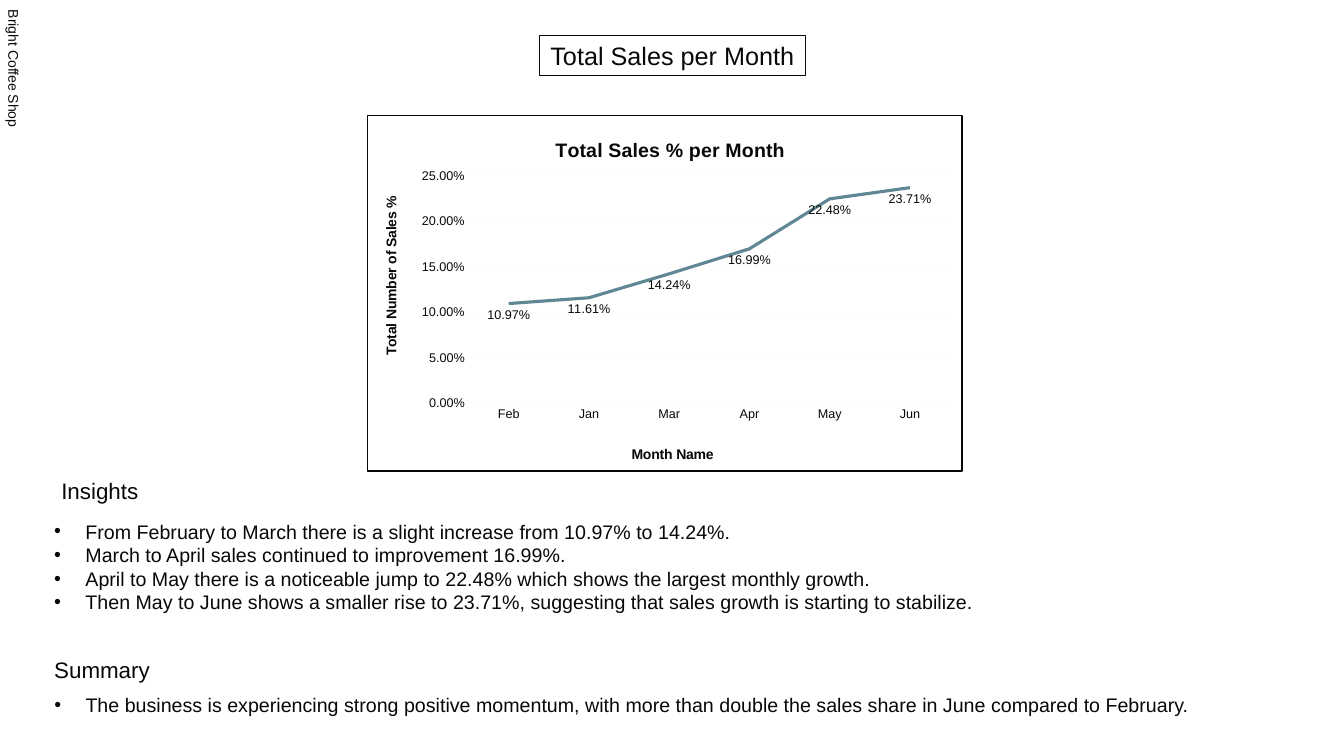
from dataclasses import dataclass

from lxml.etree import SubElement
from pptx import Presentation
from pptx.chart.data import CategoryChartData
from pptx.dml.color import RGBColor
from pptx.enum.chart import (XL_CHART_TYPE, XL_LABEL_POSITION, XL_MARKER_STYLE,
                             XL_TICK_MARK)
from pptx.enum.shapes import MSO_SHAPE
from pptx.enum.text import MSO_ANCHOR, MSO_AUTO_SIZE, PP_ALIGN
from pptx.oxml import parse_xml
from pptx.oxml.ns import nsdecls, qn
from pptx.util import Inches, Pt


@dataclass(frozen=True)
class Theme:
    font: str = "Arial"
    ink: RGBColor = RGBColor(0x08, 0x08, 0x08)
    paper: RGBColor = RGBColor(0xFF, 0xFF, 0xFF)
    sales: RGBColor = RGBColor(0x5F, 0x87, 0x94)
    grid: RGBColor = RGBColor(0xFD, 0xFC, 0xFB)
    heading: Pt = Pt(18)
    subheading: Pt = Pt(16)
    body: Pt = Pt(14)
    small: Pt = Pt(10)
    tick: Pt = Pt(9)


THEME = Theme()
WIDTH, HEIGHT = Inches(13.33), Inches(7.5)
COLUMNS, ROWS = 40, 30
MARGIN = 1.32
INDENT = Inches(0.31)

MONTHLY_SHARE = {"Feb": 0.1097, "Jan": 0.1161, "Mar": 0.1424,
                 "Apr": 0.1699, "May": 0.2248, "Jun": 0.2371}
INSIGHTS = [
    "From February to March there is a slight increase from 10.97% to 14.24%.",
    "March to April sales continued to improvement 16.99%.",
    "April to May there is a noticeable jump to 22.48% which shows the largest monthly growth.",
    "Then May to June shows a smaller rise to 23.71%, suggesting that sales growth is starting to stabilize.",
]
SUMMARY = [
    "The business is experiencing strong positive momentum, with more than double "
    "the sales share in June compared to February.",
]


def cells(column, row, columns, rows):
    """Turn a box in grid units into slide lengths."""
    across, down = WIDTH / COLUMNS, HEIGHT / ROWS
    return (round(column * across), round(row * down),
            round(columns * across), round(rows * down))


def style_font(font, size, bold=False):
    font.name, font.size, font.bold = THEME.font, size, bold
    font.color.rgb = THEME.ink


def fill_text(frame, lines, size, align=PP_ALIGN.LEFT, bulleted=False, wrap=True):
    frame.word_wrap = wrap
    frame.auto_size = MSO_AUTO_SIZE.SHAPE_TO_FIT_TEXT
    frame.text = "\n".join(lines)
    for paragraph in frame.paragraphs:
        paragraph.alignment = align
        if bulleted:
            properties = paragraph._p.get_or_add_pPr()
            properties.set("marL", str(INDENT))
            properties.set("indent", str(-INDENT))
            SubElement(properties, qn("a:buFont")).set("typeface", THEME.font)
            SubElement(properties, qn("a:buChar")).set("char", "•")
        for run in paragraph.runs:
            style_font(run.font, size)


def add_heading(slide, box, wording):
    heading = slide.shapes.add_shape(MSO_SHAPE.RECTANGLE, *box)
    heading.shadow.inherit = False
    heading.fill.background()
    heading.line.color.rgb = THEME.ink
    heading.line.width = Pt(1)
    heading.text_frame.vertical_anchor = MSO_ANCHOR.TOP
    fill_text(heading.text_frame, [wording], THEME.heading, PP_ALIGN.CENTER, wrap=False)


def add_side_label(slide, box, wording):
    label = slide.shapes.add_textbox(*box)
    label.rotation = 90
    fill_text(label.text_frame, [wording], THEME.small)


def add_subheading(slide, box, wording, align=PP_ALIGN.LEFT):
    subheading = slide.shapes.add_textbox(*box)
    fill_text(subheading.text_frame, [wording], THEME.subheading, align)


def add_bullets(slide, box, points, anchor=MSO_ANCHOR.TOP):
    bullets = slide.shapes.add_textbox(*box)
    bullets.text_frame.vertical_anchor = anchor
    fill_text(bullets.text_frame, points, THEME.body, bulleted=True)


def pin(element, inner=False, **shares):
    """Fix a chart part at the given shares of the chart's size."""
    for automatic in element.findall(qn("c:layout")):
        element.remove(automatic)
    target = '<c:layoutTarget val="inner"/>' if inner else ""
    modes = "".join(f'<c:{key}Mode val="edge"/>' for key in "xy")
    values = "".join(f'<c:{key} val="{share}"/>' for key, share in shares.items())
    layout = parse_xml(f'<c:layout {nsdecls("c")}><c:manualLayout>{target}{modes}{values}'
                       '</c:manualLayout></c:layout>')
    element.insert(0 if inner else 1, layout)


def set_title(title, wording, size, x, y):
    title.text_frame.text = wording
    style_font(title.text_frame.paragraphs[0].runs[0].font, size, bold=True)
    pin(title._element, x=x, y=y)


def style_axis(axis):
    axis.major_tick_mark = axis.minor_tick_mark = XL_TICK_MARK.NONE
    style_font(axis.tick_labels.font, THEME.tick)


def add_sales_chart(slide, box):
    sales = CategoryChartData(number_format="0.00%")
    sales.categories = list(MONTHLY_SHARE)
    sales.add_series("Series 1", list(MONTHLY_SHARE.values()))
    chart = slide.shapes.add_chart(XL_CHART_TYPE.LINE_STACKED, *box, sales).chart
    chart.has_legend = False
    style_font(chart.font, THEME.small)
    set_title(chart.chart_title, "Total Sales % per Month", THEME.body, 0.31, 0.05)

    months, shares = chart.category_axis, chart.value_axis
    style_axis(months)
    style_axis(shares)
    set_title(months.axis_title, "Month Name", THEME.small, 0.44, 0.92)
    set_title(shares.axis_title, "Total Number of Sales %", THEME.small, 0.02, 0.22)
    shares.minimum_scale, shares.maximum_scale, shares.major_unit = 0, 0.25, 0.05
    shares.tick_labels.number_format = "0.00%"
    shares.tick_labels.number_format_is_linked = False
    shares.format.line.fill.background()
    for line in (months.format.line, shares.major_gridlines.format.line):
        line.color.rgb = THEME.grid
        line.width = Pt(0.75)

    plot = chart.plots[0]
    plot.vary_by_categories = False
    trend = plot.series[0]
    trend.smooth = False
    trend.marker.style = XL_MARKER_STYLE.NONE
    trend.format.line.color.rgb = THEME.sales
    trend.format.line.width = Pt(2.25)
    labels = trend.data_labels
    labels.show_value = True
    labels.position = XL_LABEL_POSITION.BELOW
    labels.number_format, labels.number_format_is_linked = "0.00%", False
    style_font(labels.font, THEME.tick)

    space = chart._chartSpace
    pin(space.chart.plotArea, inner=True, x=0.17, y=0.17, w=0.81, h=0.64)
    space.find(qn("c:txPr")).addprevious(parse_xml(
        f'<c:spPr {nsdecls("c", "a")}><a:noFill/><a:ln w="{Pt(1)}"><a:solidFill>'
        f'<a:srgbClr val="{THEME.ink}"/></a:solidFill></a:ln></c:spPr>'))


def build_sales_slide(deck):
    slide = deck.slides.add_slide(deck.slide_layouts[6])
    slide.background.fill.solid()
    slide.background.fill.fore_color.rgb = THEME.paper
    add_heading(slide, cells(16.05, 1.4, 7.92, 1.6), "Total Sales per Month")
    add_subheading(slide, cells(MARGIN, 18.72, 3.3, 1.48), "Insights", PP_ALIGN.CENTER)
    add_bullets(slide, cells(MARGIN, 20.4, 36.9, 4.16), INSIGHTS, MSO_ANCHOR.MIDDLE)
    add_subheading(slide, cells(MARGIN, 25.84, 5, 1.48), "Summary")
    add_bullets(slide, cells(MARGIN, 27.32, 37.35, 1.36), SUMMARY)
    add_sales_chart(slide, cells(10.92, 4.56, 17.73, 14.16))
    add_side_label(slide, cells(-3.42, 4.56, 7.65, 1.08), "Bright Coffee Shop")


def main():
    deck = Presentation()
    deck.slide_width, deck.slide_height = WIDTH, HEIGHT
    build_sales_slide(deck)
    deck.save("out.pptx")


if __name__ == "__main__":
    main()
